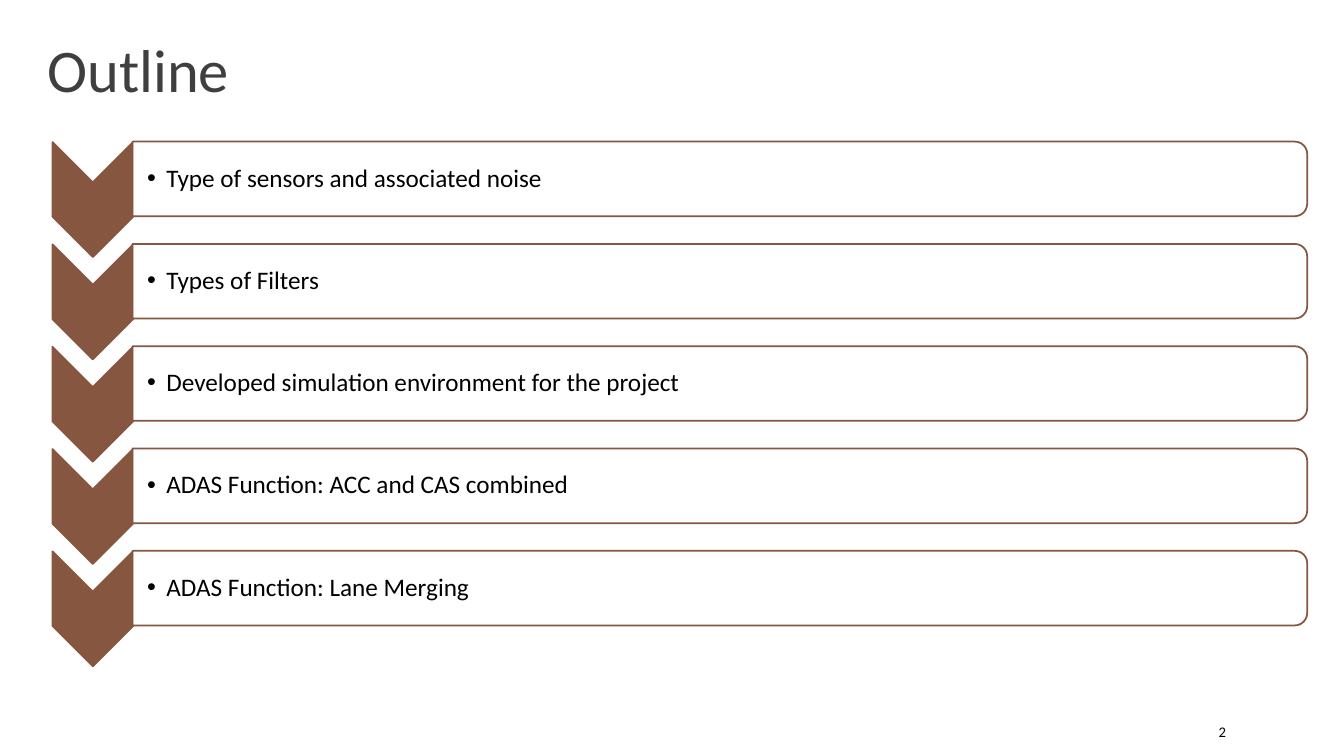
from dataclasses import dataclass

from lxml.etree import SubElement
from pptx import Presentation
from pptx.dml.color import RGBColor
from pptx.enum.shapes import MSO_SHAPE
from pptx.enum.text import MSO_ANCHOR, MSO_AUTO_SIZE, PP_ALIGN
from pptx.oxml.ns import qn
from pptx.shapes.autoshape import Shape
from pptx.shapes.group import GroupShape
from pptx.text.text import TextFrame, _Paragraph
from pptx.util import Inches, Pt

BROWN = "865640"
BLACK = "000000"
WHITE = "FFFFFF"
TITLE_GREY = "3F3F3F"
ROW_STEP = 4.06 / 4


@dataclass(frozen=True)
class Box:
    left: float
    top: float
    width: float
    height: float

    def lowered(self, distance: float) -> "Box":
        return Box(self.left, self.top + distance, self.width, self.height)

    def lengths(self) -> tuple:
        return tuple(Inches(value) for value in (self.left, self.top, self.width, self.height))


CHEVRON = Box(0.35, 1.58, 1.14, 0.8)
BAR = Box(6.77, -4.05, 0.74, 11.65)
LABEL = Box(1.32, 1.44, 11.62, 0.67)

TOPICS = [
    "Type of sensors and associated noise",
    "Types of Filters",
    "Developed simulation environment for the project",
    "ADAS Function: ACC and CAS combined",
    "ADAS Function: Lane Merging",
]


def color(value: str) -> RGBColor:
    return RGBColor.from_string(value)


def set_frame(frame: TextFrame, anchor: MSO_ANCHOR, margins: tuple) -> None:
    frame.word_wrap = True
    frame.auto_size = MSO_AUTO_SIZE.NONE
    frame.vertical_anchor = anchor
    frame.margin_left, frame.margin_top, frame.margin_right, frame.margin_bottom = (
        Inches(margin) for margin in margins
    )


def add_text(paragraph: _Paragraph, text: str, size: float, text_color: str) -> None:
    run = paragraph.add_run()
    run.text = text
    run.font.name = "Calibri"
    run.font.size = Pt(size)
    run.font.color.rgb = color(text_color)


def add_bullet(paragraph: _Paragraph) -> None:
    properties = paragraph._p.get_or_add_pPr()
    properties.set("marL", str(Inches(0.19)))
    properties.set("indent", str(-Inches(0.19)))
    bullet_color = SubElement(properties, qn("a:buClr"))
    SubElement(bullet_color, qn("a:srgbClr"), val=BLACK)
    SubElement(properties, qn("a:buFont"), typeface="Arial")
    SubElement(properties, qn("a:buChar"), char="•")


def add_turned_shape(
    group: GroupShape, kind: MSO_SHAPE, box: Box, fill: str, adjustments: tuple
) -> Shape:
    shape = group.shapes.add_shape(kind, *box.lengths())
    shape.rotation = 90
    shape.shadow.inherit = False
    for index, adjustment in enumerate(adjustments):
        shape.adjustments[index] = adjustment
    shape.fill.solid()
    shape.fill.fore_color.rgb = color(fill)
    shape.line.color.rgb = color(BROWN)
    shape.line.width = Pt(1.25)
    return shape


def add_topic(group: GroupShape, text: str, distance: float) -> None:
    add_turned_shape(group, MSO_SHAPE.CHEVRON, CHEVRON.lowered(distance), BROWN, (0.5,))
    bar = add_turned_shape(
        group, MSO_SHAPE.ROUND_2_SAME_RECTANGLE, BAR.lowered(distance), WHITE, (0.167, 0)
    )
    fill_color = bar._element.spPr.find(qn("a:solidFill")).find(qn("a:srgbClr"))
    SubElement(fill_color, qn("a:alpha"), val="90000")
    label = group.shapes.add_textbox(*LABEL.lowered(distance).lengths())
    set_frame(label.text_frame, MSO_ANCHOR.MIDDLE, (0.14, 0.01, 0.01, 0.01))
    paragraph = label.text_frame.paragraphs[0]
    paragraph.level = 1
    paragraph.line_spacing = 0.9
    add_bullet(paragraph)
    add_text(paragraph, text, 18, BLACK)


def main() -> None:
    presentation = Presentation()
    presentation.slide_width = Inches(13.33)
    presentation.slide_height = Inches(7.5)
    slide = presentation.slides.add_slide(presentation.slide_layouts[5])

    number = slide.shapes.add_textbox(*Box(10.83, 7.06, 1.43, 0.4).lengths())
    set_frame(number.text_frame, MSO_ANCHOR.MIDDLE, (0.1, 0.05, 0.1, 0.05))
    number.text_frame.paragraphs[0].alignment = PP_ALIGN.RIGHT
    add_text(number.text_frame.paragraphs[0], "2", 10.5, BLACK)

    title = slide.shapes.title
    title.left, title.top, title.width, title.height = Box(0.37, 0.57, 10.43, 0.52).lengths()
    set_frame(title.text_frame, MSO_ANCHOR.BOTTOM, (0.1, 0.05, 0.1, 0.05))
    heading = title.text_frame.paragraphs[0]
    heading.alignment = PP_ALIGN.LEFT
    heading.line_spacing = 0.85
    add_text(heading, "Outline", 43.2, TITLE_GREY)

    outline = slide.shapes.add_group_shape()
    for row, topic in enumerate(TOPICS):
        add_topic(outline, topic, row * ROW_STEP)

    presentation.save("out.pptx")


if __name__ == "__main__":
    main()
